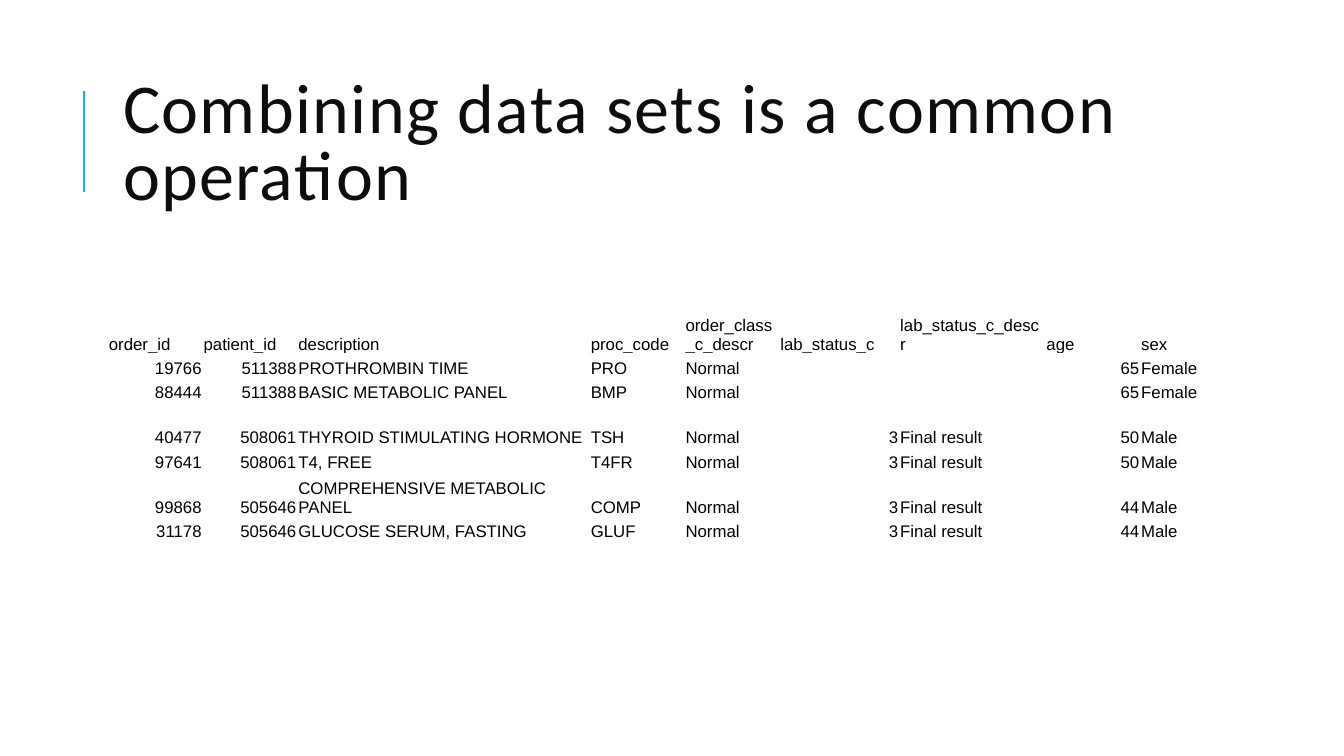
import pptx
import pptx.dml.color
import pptx.enum.shapes
import pptx.enum.text
import pptx.oxml.ns
import pptx.util
from lxml import etree
from pptx.util import Inches

COLORS = {"accent": "1CADE4", "title": "0D0D0D", "text": "000000"}
COLUMN_WIDTHS = [0.94, 0.94, 2.9, 0.94, 0.94, 1.19, 1.45, 0.94, 0.94]
ROW_HEIGHTS = [0.45, 0.24, 0.24, 0.45, 0.24, 0.45, 0.24]
ORDERS = [
    ["order_id", "patient_id", "description", "proc_code", "order_class_c_descr",
     "lab_status_c", "lab_status_c_descr", "age", "sex"],
    ["19766", "511388", "PROTHROMBIN TIME", "PRO", "Normal", "", "", "65", "Female"],
    ["88444", "511388", "BASIC METABOLIC PANEL", "BMP", "Normal", "", "", "65", "Female"],
    ["40477", "508061", "THYROID STIMULATING HORMONE", "TSH", "Normal",
     "3", "Final result", "50", "Male"],
    ["97641", "508061", "T4, FREE", "T4FR", "Normal", "3", "Final result", "50", "Male"],
    ["99868", "505646", "COMPREHENSIVE METABOLIC PANEL", "COMP", "Normal",
     "3", "Final result", "44", "Male"],
    ["31178", "505646", "GLUCOSE SERUM, FASTING", "GLUF", "Normal",
     "3", "Final result", "44", "Male"],
]


def rgb(name):
    return pptx.dml.color.RGBColor.from_string(COLORS[name])


def format_run(r, font, size, color):
    r.font.name = font
    r.font.size = pptx.util.Pt(size)
    r.font.color.rgb = rgb(color)


def set_title(slide, text):
    sp = slide.shapes.title
    sp.left, sp.top, sp.width, sp.height = map(Inches, (1.12, 0.64, 10.63, 1.64))
    tf = sp.text_frame
    tf.text = text
    tf.word_wrap = True
    tf.auto_size = pptx.enum.text.MSO_AUTO_SIZE.NONE
    tf.vertical_anchor = pptx.enum.text.MSO_ANCHOR.MIDDLE
    p = tf.paragraphs[0]
    p.alignment = pptx.enum.text.PP_ALIGN.LEFT
    p.line_spacing = 0.8
    r = p.runs[0]
    format_run(r, "Calibri", 50, "title")
    r.font._element.set("spc", "100")


def add_accent_line(slide):
    line = slide.shapes.add_connector(
        pptx.enum.shapes.MSO_CONNECTOR.STRAIGHT,
        Inches(0.83), Inches(1.9), Inches(0.83), Inches(0.9))
    line.line.color.rgb = rgb("accent")
    line.line.width = pptx.util.Pt(1.5)
    etree.SubElement(line._element.spPr, pptx.oxml.ns.qn("a:effectLst"))


def fill_cell(cell, text):
    cell.fill.background()
    cell.margin_left = cell.margin_right = cell.margin_top = Inches(0.01)
    cell.margin_bottom = 0
    cell.vertical_anchor = pptx.enum.text.MSO_ANCHOR.BOTTOM
    p = cell.text_frame.paragraphs[0]
    if not text:
        etree.SubElement(p._p, pptx.oxml.ns.qn("a:endParaRPr"), sz="1200")
        return
    p.text = text
    if text.isdigit():
        p.alignment = pptx.enum.text.PP_ALIGN.RIGHT
    format_run(p.runs[0], "Arial", 12, "text")


def add_orders_table(slide):
    table = slide.shapes.add_table(
        len(ORDERS), len(COLUMN_WIDTHS), Inches(1.07), Inches(3.06),
        Inches(sum(COLUMN_WIDTHS)), Inches(sum(ROW_HEIGHTS))).table
    table.first_row = table.horz_banding = False
    for column, width in zip(table.columns, COLUMN_WIDTHS):
        column.width = Inches(width)
    for row, height, values in zip(table.rows, ROW_HEIGHTS, ORDERS):
        row.height = Inches(height)
        for cell, value in zip(row.cells, values):
            fill_cell(cell, value)


def main():
    """Build the slide on combining data sets and save it."""
    prs = pptx.Presentation()
    prs.slide_width, prs.slide_height = Inches(13.33), Inches(7.5)
    slide = prs.slides.add_slide(prs.slide_layouts[5])
    add_accent_line(slide)
    set_title(slide, "Combining data sets is a common operation")
    add_orders_table(slide)
    prs.save("out.pptx")


if __name__ == "__main__":
    main()
